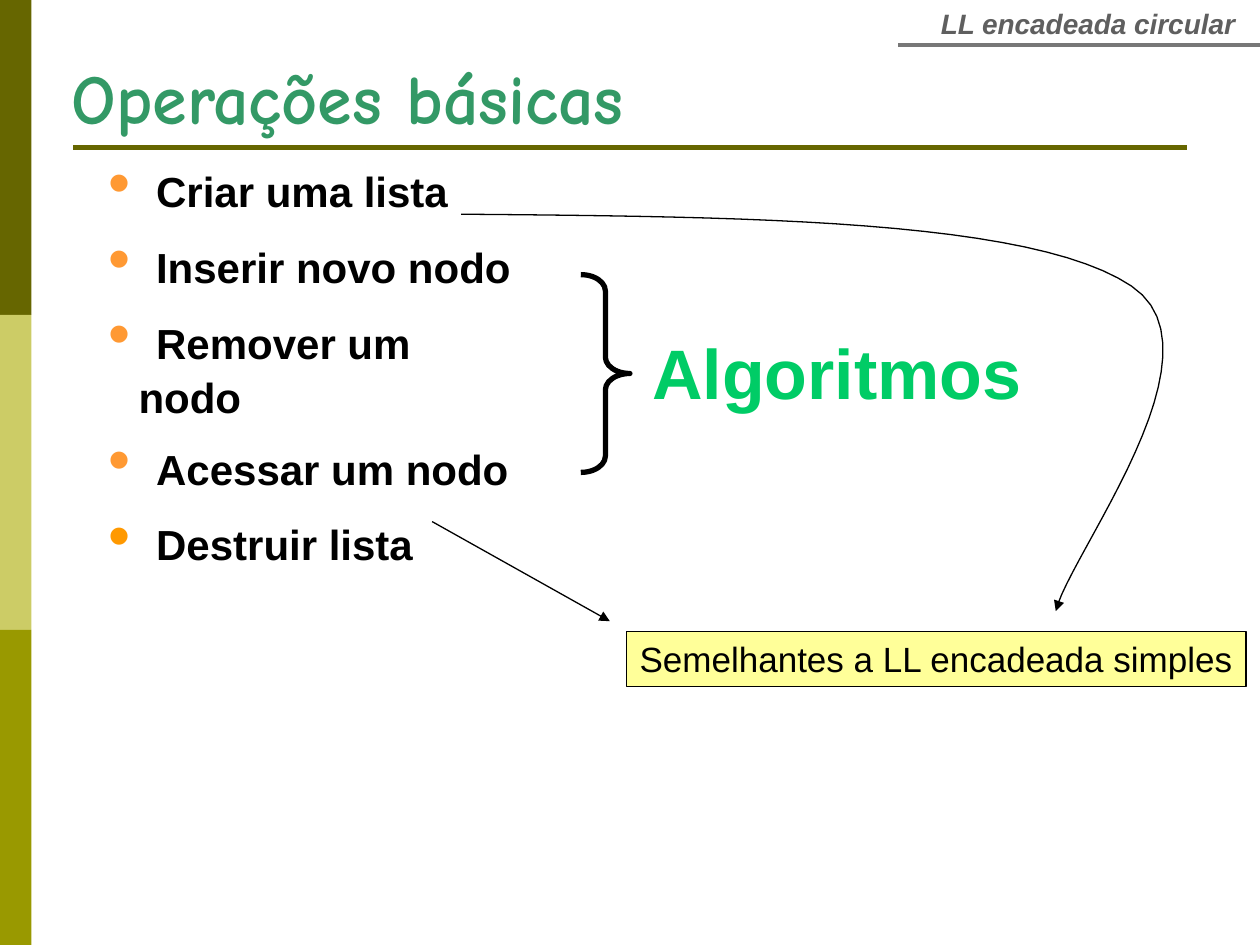
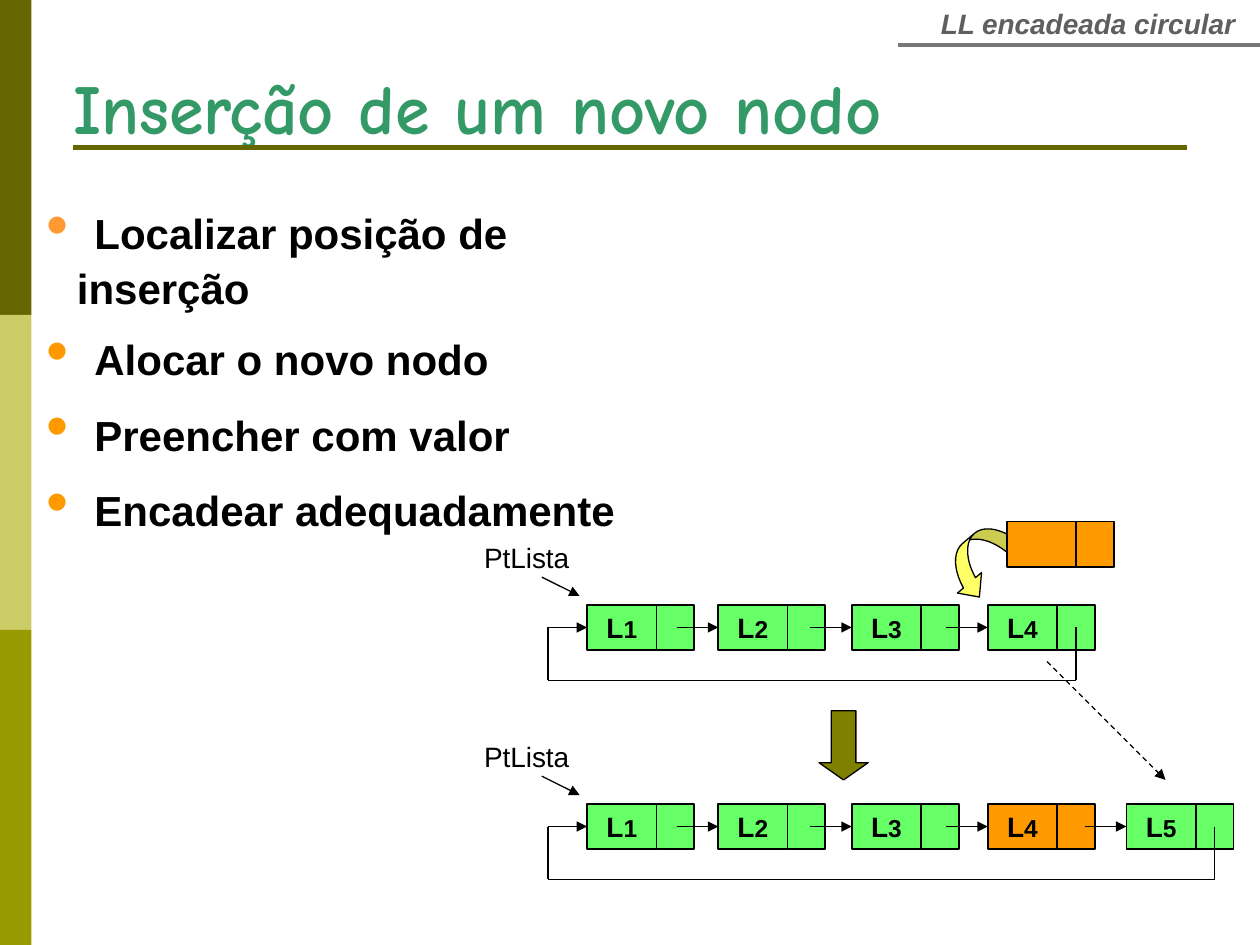
from lxml.etree import SubElement
from pptx import Presentation
from pptx.dml.color import RGBColor
from pptx.enum.dml import MSO_LINE
from pptx.enum.shapes import MSO_CONNECTOR, MSO_SHAPE
from pptx.enum.text import MSO_ANCHOR, MSO_AUTO_SIZE, PP_ALIGN
from pptx.oxml.ns import qn
from pptx.util import Inches, Pt

BODY_FONT = "Arial"
TITLE_FONT = "Comic Neue"
BLACK = "000000"
WHITE = "FFFFFF"
OLIVE = "666600"
BANDS = [OLIVE, "CCCC66", "999900"]
TITLE_GREEN = "339966"
WORD_GREEN = "00CC66"
NODE_GREEN = "66FF66"
ORANGE = "FF9900"
SOFT_ORANGE = "FF9933"
NODE_LEFTS = [4.66, 5.7, 6.76, 7.84, 8.94]


def color(value):
    return RGBColor.from_string(value)


def set_font(font, size, value, bold=False, italic=False, name=BODY_FONT):
    font.name, font.size, font.bold, font.italic = name, Pt(size), bold, italic
    font.color.rgb = color(value)


def bezier(start, control1, control2, end, steps=24):
    """Points along a cubic curve, without its start."""
    for step in range(1, steps + 1):
        t = step / steps
        weights = ((1 - t) ** 3, 3 * t * (1 - t) ** 2, 3 * t * t * (1 - t), t ** 3)
        corners = (start, control1, control2, end)
        yield tuple(sum(w * corner[axis] for w, corner in zip(weights, corners))
                    for axis in (0, 1))


class SlideBuilder:
    def __init__(self, deck):
        self.deck = deck
        self.page = None

    def new_page(self, title, left, top, width):
        self.page = self.deck.slides.add_slide(self.deck.slide_layouts[1])
        # Side bands, title rule and header
        for index, band in enumerate(BANDS):
            self.shape(MSO_SHAPE.RECTANGLE, 0, 2.5 * index, 0.25, 2.5, band)
        self.line((0.58, 1.17), (9.42, 1.17), OLIVE, 3)
        self.text("LL encadeada circular", 7.36, 0, 2.55, 0.37, 16, "5F5F5F",
                  bold=True, italic=True)
        self.line((7.13, 0.36), (10, 0.36), "777777", 2.25)
        # Title
        holder = self.page.shapes.title
        self.place(holder, left, top, width, 0.77)
        frame = holder.text_frame
        frame.text = title
        frame.vertical_anchor = MSO_ANCHOR.TOP
        frame.auto_size = MSO_AUTO_SIZE.NONE
        frame.paragraphs[0].alignment = PP_ALIGN.LEFT
        set_font(frame.paragraphs[0].font, 40, TITLE_GREEN, True, name=TITLE_FONT)

    def place(self, shape, left, top, width, height):
        shape.left, shape.top = Inches(left), Inches(top)
        shape.width, shape.height = Inches(width), Inches(height)

    def bullets(self, items, left, top, width, height):
        """items: pairs of text and bullet colour."""
        holder = self.page.placeholders[1]
        self.place(holder, left, top, width, height)
        holder.fill.solid()
        holder.fill.fore_color.rgb = color(WHITE)
        frame = holder.text_frame
        frame.vertical_anchor = MSO_ANCHOR.MIDDLE
        frame.auto_size = MSO_AUTO_SIZE.NONE
        for index, (text, bullet) in enumerate(items):
            para = frame.paragraphs[0] if index == 0 else frame.add_paragraph()
            para.space_before = Pt(0)
            properties = para._p.get_or_add_pPr()
            properties.set("marL", str(Inches(0.24)))
            properties.set("indent", str(-Inches(0.24)))
            SubElement(properties, qn("a:buChar")).set("char", "•")
            # The large leading space sets the size and colour of the bullet
            for words, size, value in ((" ", 36, bullet), (text, 24, BLACK)):
                span = para.add_run()
                span.text = words
                set_font(span.font, size, value, True)

    def outline(self, line, value, width):
        line.color.rgb = color(value)
        line.width = Pt(width)

    def arrowhead(self, line_shape):
        line = line_shape.line._get_or_add_ln()
        SubElement(line, qn("a:tailEnd")).set("type", "triangle")

    def shape(self, kind, left, top, width, height, fill=None, line_width=0,
              adjustments=()):
        shape = self.page.shapes.add_shape(
            kind, Inches(left), Inches(top), Inches(width), Inches(height))
        shape.shadow.inherit = False
        for index, value in enumerate(adjustments):
            shape.adjustments[index] = value
        if fill:
            shape.fill.solid()
            shape.fill.fore_color.rgb = color(fill)
        else:
            shape.fill.background()
        if line_width:
            self.outline(shape.line, BLACK, line_width)
        else:
            shape.line.fill.background()
        return shape

    def text(self, words, left, top, width, height, size, value, bold=False,
             italic=False, align=PP_ALIGN.CENTER, fill=None, line_width=0):
        if fill:
            box = self.shape(MSO_SHAPE.RECTANGLE, left, top, width, height,
                             fill, line_width)
        else:
            box = self.page.shapes.add_textbox(
                Inches(left), Inches(top), Inches(width), Inches(height))
        frame = box.text_frame
        frame.word_wrap = False
        frame.vertical_anchor = MSO_ANCHOR.TOP
        para = frame.paragraphs[0]
        para.text = words
        para.alignment = align
        set_font(para.font, size, value, bold, italic)

    def line(self, start, end, value=BLACK, width=0.75, arrow=False, dashed=False,
             target=None):
        """target: a rectangle whose left side the line ends on."""
        line = self.page.shapes.add_connector(
            MSO_CONNECTOR.STRAIGHT, *(Inches(length) for length in (*start, *end)))
        if target is not None:
            line.end_connect(target, 1)
        self.outline(line.line, value, width)
        if dashed:
            line.line.dash_style = MSO_LINE.DASH
        if arrow:
            self.arrowhead(line)
        SubElement(line._element.spPr, qn("a:effectLst"))

    def curve(self, start, *segments):
        points = []
        corner = start
        for segment in segments:
            points.extend(bezier(corner, *segment))
            corner = segment[-1]
        builder = self.page.shapes.build_freeform(
            Inches(start[0]), Inches(start[1]), scale=1.0)
        builder.add_line_segments(
            [(Inches(x), Inches(y)) for x, y in points], close=False)
        curve = builder.convert_to_shape()
        curve.shadow.inherit = False
        curve.fill.background()
        self.outline(curve.line, BLACK, 0.75)
        self.arrowhead(curve)

    def node(self, left, top, fill, number=None):
        """A list node: a value cell and a pointer cell."""
        value_cell = self.shape(MSO_SHAPE.RECTANGLE, left, top, 0.55, 0.36, fill, 1)
        self.shape(MSO_SHAPE.RECTANGLE, left + 0.55, top, 0.3, 0.36, fill, 1)
        if number:
            frame = value_cell.text_frame
            frame.word_wrap = False
            frame.vertical_anchor = MSO_ANCHOR.MIDDLE
            para = frame.paragraphs[0]
            para.alignment = PP_ALIGN.CENTER
            for words, size in (("L", 16), (str(number), 14)):
                span = para.add_run()
                span.text = words
                set_font(span.font, size, BLACK, True)
        return value_cell

    def circular_list(self, top, fills):
        middle, bottom = top + 0.18, top + 0.6
        lefts = NODE_LEFTS[:len(fills)]
        cells = [self.node(left, top, fill, number)
                 for number, (left, fill) in enumerate(zip(lefts, fills), 1)]
        # Links between neighbours
        for left, cell in zip(lefts[1:], cells[1:]):
            self.line((left - 0.33, middle), (left, middle), width=1, arrow=True,
                      target=cell)
        # Return path from the last node to the first
        loop_left, loop_right = 4.35, lefst_end(lefts)
        self.line((loop_right, middle), (loop_right, bottom))
        self.line((loop_left, bottom), (loop_right, bottom))
        self.line((loop_left, middle), (loop_left, bottom))
        self.line((loop_left, middle), (lefts[0], middle), width=1, arrow=True,
                  target=cells[0])
        # List pointer
        self.text("PtLista", 3.74, top - 0.56, 0.88, 0.37, 16, BLACK)
        self.line((4.3, top - 0.22), (4.6, top - 0.07), arrow=True)
        self.line((7.93, top - 0.27), (7.93, top - 0.27), arrow=True)


def lefst_end(lefts):
    """Middle of the last pointer cell."""
    return lefts[-1] + 0.7


def operations(builder):
    builder.new_page("Operações básicas", 0.47, 0.38, 5.16)
    builder.bullets([("Criar uma lista", SOFT_ORANGE),
                     ("Inserir novo nodo", SOFT_ORANGE),
                     ("Remover um nodo", SOFT_ORANGE),
                     ("Acessar um nodo", SOFT_ORANGE),
                     ("Destruir lista", ORANGE)], 0.76, 1.3, 3.44, 3.1)
    # Operations that need algorithms
    builder.text("Algoritmos", 5.08, 2.57, 3.13, 0.77, 40, WORD_GREEN, bold=True,
                 align=PP_ALIGN.LEFT, fill=WHITE)
    builder.shape(MSO_SHAPE.RIGHT_BRACE, 4.61, 2.18, 0.39, 1.57, line_width=3,
                  adjustments=(0.333, 0.5))
    # Operations shared with the simple list
    builder.text("Semelhantes a LL encadeada simples", 4.97, 5.01, 4.92, 0.44, 20,
                 BLACK, fill="FFFF99", line_width=0.75)
    builder.line((3.43, 4.14), (4.84, 4.93), arrow=True)
    builder.curve((3.66, 1.7),
                  ((5.93, 1.72), (8.19, 1.74), (8.98, 2.27)),
                  ((9.76, 2.79), (8.48, 4.41), (8.38, 4.85)))


def insertion(builder):
    builder.new_page("Inserção de um novo nodo", 0.48, 0.46, 7.2)
    builder.bullets([("Localizar posição de inserção", SOFT_ORANGE),
                     ("Alocar o novo nodo", ORANGE),
                     ("Preencher com valor", ORANGE),
                     ("Encadear adequadamente", ORANGE)], 0.27, 1.63, 5.26, 2.5)
    # Before: four nodes and the new one
    builder.circular_list(4.8, [NODE_GREEN] * 4)
    arrow = builder.shape(MSO_SHAPE.CURVED_RIGHT_ARROW, 7.59, 4.12, 0.41, 0.66,
                          "FFFF66", 0.75, (0.306, 0.613, 0.333))
    arrow.rotation = 49.5
    builder.node(7.99, 4.14, ORANGE)
    # After: the new node in fourth place
    builder.circular_list(6.38, [NODE_GREEN] * 3 + [ORANGE, NODE_GREEN])
    builder.shape(MSO_SHAPE.DOWN_ARROW, 6.5, 5.64, 0.39, 0.55, "808000", 0.75,
                  (0.5, 0.351))
    builder.line((8.31, 5.25), (9.25, 6.19), arrow=True, dashed=True)


def main():
    deck = Presentation()
    deck.slide_width, deck.slide_height = Inches(10), Inches(7.5)
    builder = SlideBuilder(deck)
    operations(builder)
    insertion(builder)
    deck.save("out.pptx")


if __name__ == "__main__":
    main()
